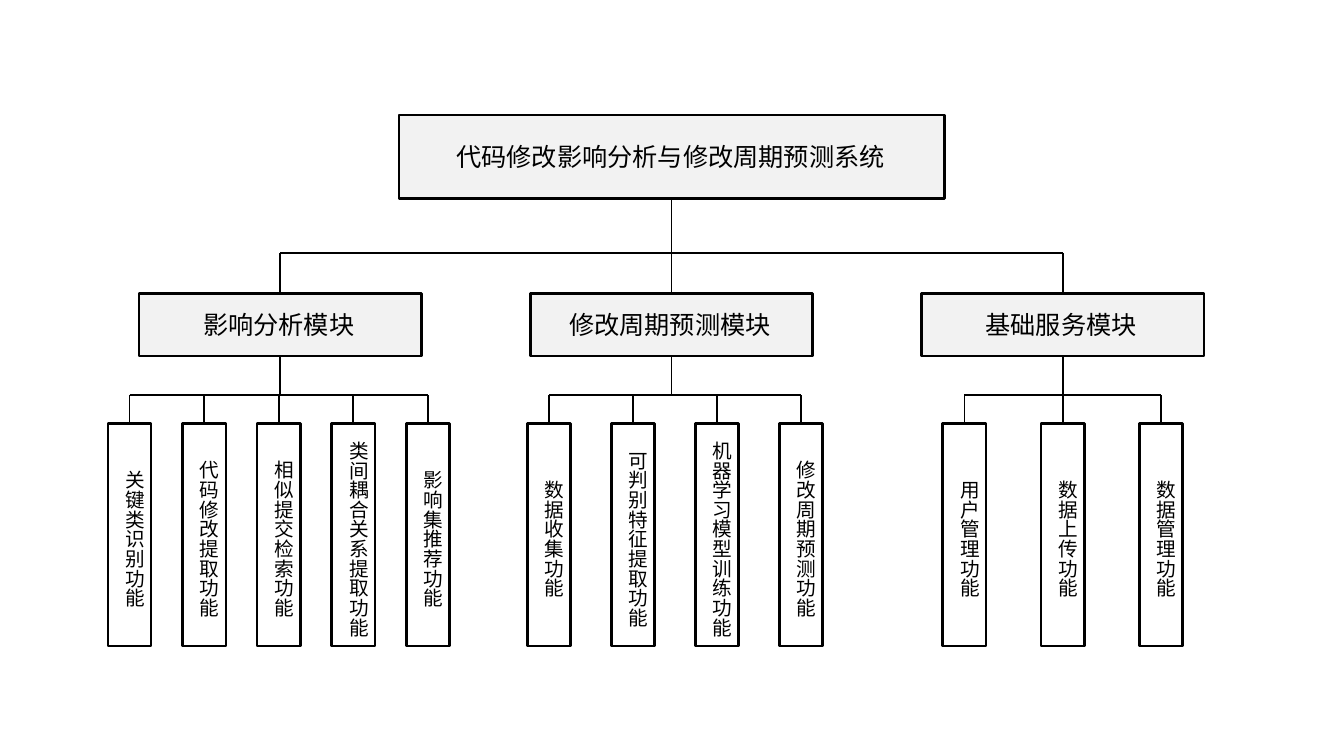
"""Draw the module hierarchy of a code change analysis system."""
from dataclasses import dataclass

import lxml.etree
import pptx
import pptx.dml.color
import pptx.enum.shapes
import pptx.enum.text
import pptx.oxml.ns
import pptx.util

Inches = pptx.util.Inches
Pt = pptx.util.Pt
FONT = "Noto Sans CJK SC"
BLACK, GREY = "000000", "F2F2F2"
SYSTEM_CENTER, SYSTEM_BOTTOM = 6.66, 1.97
MODULE_WIDTH, MODULE_TOP, MODULE_HEIGHT = 2.8, 2.91, 0.62
MODULE_BOTTOM = MODULE_TOP + MODULE_HEIGHT
MODULE_PITCH = 3.88
FUNCTION_WIDTH, FUNCTION_TOP, FUNCTION_HEIGHT = 0.43, 4.2, 2.21
CHARACTER_HEIGHT, LABEL_PADDING = 14 / 72, 0.11
MODULE_RAIL, FUNCTION_RAIL = 2.51, 3.92


@dataclass(frozen=True)
class Module:
    name: str
    first_left: float
    last_left: float
    functions: tuple[str, ...]


MODULES = (
    Module("影响分析模块", 1.07, 4.03, (
        "关键类识别功能", "代码修改提取功能", "相似提交检索功能",
        "类间耦合关系提取功能", "影响集推荐功能")),
    Module("修改周期预测模块", 5.23, 7.73, (
        "数据收集功能", "可判别特征提取功能", "机器学习模型训练功能",
        "修改周期预测功能")),
    Module("基础服务模块", 9.35, 11.3, (
        "用户管理功能", "数据上传功能", "数据管理功能")),
)


def color(value: str) -> pptx.dml.color.RGBColor:
    return pptx.dml.color.RGBColor.from_string(value)


def write_label(frame, text: str, size: float) -> None:
    frame.text = text
    label = frame.paragraphs[0]
    label.font.size = Pt(size)
    label.font.name = FONT
    label.font.color.rgb = color(BLACK)
    properties = label.font.fill._xPr
    lxml.etree.SubElement(properties, pptx.oxml.ns.qn("a:ea"), typeface=FONT)


def outline(node) -> None:
    node.line.color.rgb = color(BLACK)
    node.line.width = Pt(1.75)


def style_heading(node, text: str) -> None:
    outline(node)
    node.fill.solid()
    node.fill.fore_color.rgb = color(GREY)
    frame = node.text_frame
    frame.word_wrap = True
    frame.auto_size = pptx.enum.text.MSO_AUTO_SIZE.NONE
    frame.vertical_anchor = pptx.enum.text.MSO_ANCHOR.MIDDLE
    frame.margin_right = Inches(0.13)
    write_label(frame, text, 18)
    frame.paragraphs[0].alignment = pptx.enum.text.PP_ALIGN.CENTER


def add_box(slide, left: float, top: float, width: float, height: float):
    box = slide.shapes.add_shape(
        pptx.enum.shapes.MSO_SHAPE.RECTANGLE,
        Inches(left), Inches(top), Inches(width), Inches(height))
    box.shadow.inherit = False
    return box


def add_function(slide, left: float, name: str) -> None:
    box = add_box(slide, left, FUNCTION_TOP, FUNCTION_WIDTH, FUNCTION_HEIGHT)
    box.fill.background()
    outline(box)
    height = LABEL_PADDING + CHARACTER_HEIGHT * len(name)
    top = FUNCTION_TOP + (FUNCTION_HEIGHT - height) / 2
    label = slide.shapes.add_textbox(
        Inches(left), Inches(top), Inches(FUNCTION_WIDTH), Inches(height))
    frame = label.text_frame
    frame.word_wrap = False
    frame.margin_left = frame.margin_right = Inches(0.05)
    frame._txBody.bodyPr.set("vert", "eaVert")
    write_label(frame, name, 14)


def add_line(slide, x1: float, y1: float, x2: float, y2: float) -> None:
    line = slide.shapes.add_connector(
        pptx.enum.shapes.MSO_CONNECTOR.STRAIGHT,
        Inches(x1), Inches(y1), Inches(x2), Inches(y2))
    line.line.color.rgb = color(BLACK)
    line.line.width = Pt(1.25)
    lxml.etree.SubElement(line._element.spPr, pptx.oxml.ns.qn("a:effectLst"))


def add_module(slide, module: Module, center: float) -> None:
    heading = add_box(slide, center - MODULE_WIDTH / 2, MODULE_TOP,
                      MODULE_WIDTH, MODULE_HEIGHT)
    style_heading(heading, module.name)
    add_line(slide, center, MODULE_RAIL, center, MODULE_TOP)
    add_line(slide, center, MODULE_BOTTOM, center, FUNCTION_RAIL)
    pitch = (module.last_left - module.first_left) / (len(module.functions) - 1)
    for index, name in enumerate(module.functions):
        left = module.first_left + index * pitch
        add_function(slide, left, name)
        middle = left + FUNCTION_WIDTH / 2
        add_line(slide, middle, FUNCTION_RAIL, middle, FUNCTION_TOP)
    add_line(slide, module.first_left + FUNCTION_WIDTH / 2, FUNCTION_RAIL,
             module.last_left + FUNCTION_WIDTH / 2, FUNCTION_RAIL)


def main() -> None:
    deck = pptx.Presentation()
    deck.slide_width, deck.slide_height = Inches(13.33), Inches(7.5)
    slide = deck.slides.add_slide(deck.slide_layouts[5])
    system = slide.shapes.title
    system.left, system.top = Inches(3.96), Inches(1.14)
    system.width, system.height = Inches(5.41), Inches(0.83)
    style_heading(system, "代码修改影响分析与修改周期预测系统")
    add_line(slide, SYSTEM_CENTER, SYSTEM_BOTTOM, SYSTEM_CENTER, MODULE_RAIL)
    add_line(slide, SYSTEM_CENTER - MODULE_PITCH, MODULE_RAIL,
             SYSTEM_CENTER + MODULE_PITCH, MODULE_RAIL)
    for index, module in enumerate(MODULES):
        add_module(slide, module, SYSTEM_CENTER + (index - 1) * MODULE_PITCH)
    deck.save("out.pptx")


if __name__ == "__main__":
    main()
